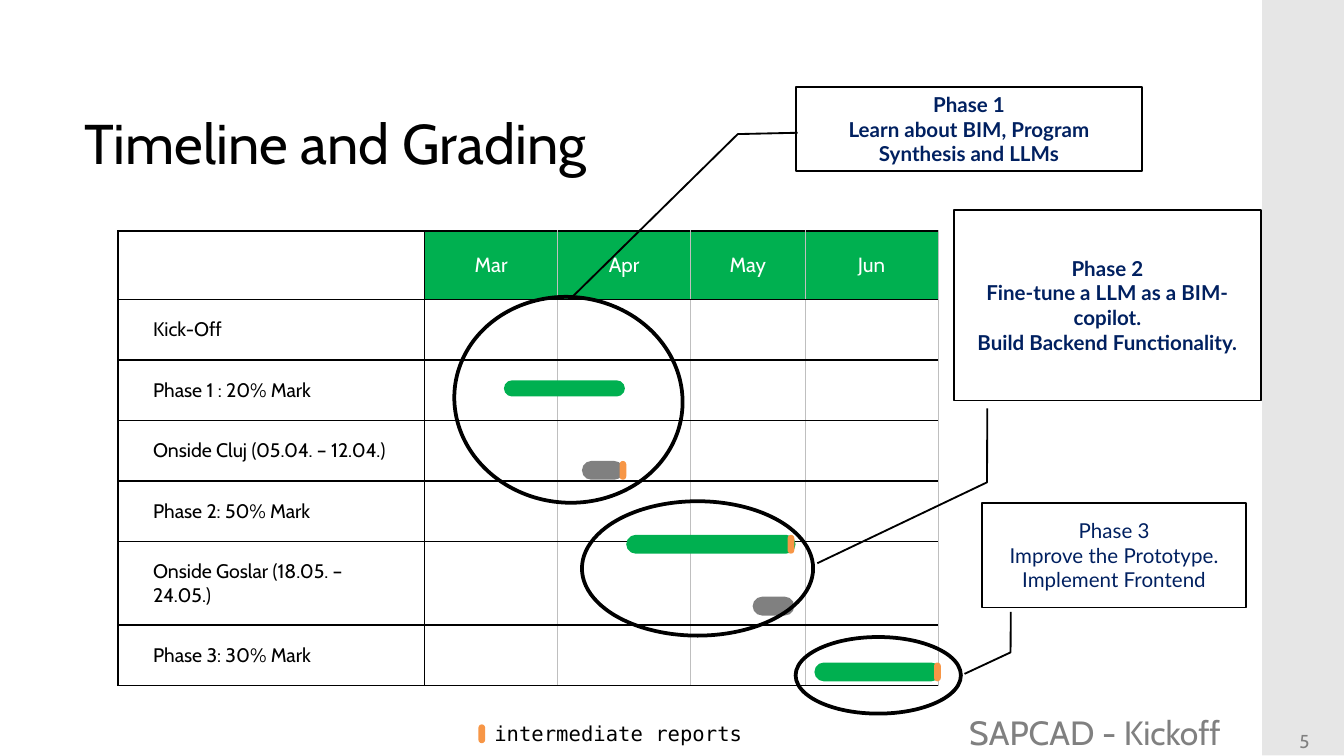
from lxml.etree import SubElement
from pptx import Presentation
from pptx.dml.color import RGBColor
from pptx.enum.shapes import MSO_SHAPE as Shape
from pptx.enum.text import MSO_ANCHOR as Anchor, PP_ALIGN as Align
from pptx.oxml.ns import qn
from pptx.util import Inches, Pt

BLACK = RGBColor(0x00, 0x00, 0x00)
WHITE = RGBColor(0xFF, 0xFF, 0xFF)
GREEN = RGBColor(0x00, 0xB0, 0x50)
GRAY = RGBColor(0x80, 0x80, 0x80)
ORANGE = RGBColor(0xF7, 0x96, 0x46)
NAVY = RGBColor(0x00, 0x20, 0x60)
SIDEBAR = RGBColor(0xE6, 0xE6, 0xE6)
GRID = RGBColor(0xBF, 0xBF, 0xBF)

MONTHS = ["Mar", "Apr", "May", "Jun"]
TASKS = ["Kick-Off", "Phase 1 : 20% Mark", "Onside Cluj (05.04. – 12.04.)",
         "Phase 2: 50% Mark", "Onside Goslar (18.05. – 24.05.)", "Phase 3: 30% Mark"]
COLUMN_WIDTHS = [2.28, 0.99, 0.99, 0.85, 0.99]
ROW_HEIGHTS = [0.51, 0.45, 0.45, 0.45, 0.45, 0.62, 0.45]
BARS = [
    (3.75, 2.83, 0.9, 0.12, GREEN),
    (4.33, 3.43, 0.31, 0.14, GRAY),
    (4.66, 3.98, 1.26, 0.14, GREEN),
    (5.6, 4.44, 0.31, 0.14, GRAY),
    (6.06, 4.93, 0.94, 0.14, GREEN),
]
REPORTS = [(5.86, 3.98), (6.95, 4.93), (4.61, 3.43), (3.56, 5.39)]
RINGS = [(4.33, 3.73, 1.72, 1, 0), (3.38, 2.21, 1.7, 1.53, 5.9), (5.92, 4.74, 1.23, 0.57, 0)]
CALLOUTS = [
    ((5.92, 0.65, 2.58, 0.62), (0.545, 0.006, 0.561, -0.167, 2.526, -0.647), True,
     ["Phase 1\vLearn about BIM, Program Synthesis and LLMs"]),
    ((7.1, 1.56, 2.28, 1.42), (1.042, 0.108, 1.429, 0.107, 1.853, -0.447), True,
     ["Phase 2\vFine-tune a LLM as a BIM-copilot.", "Build Backend Functionality."]),
    ((7.31, 3.74, 1.96, 0.78), (1.042, 0.108, 1.429, 0.107, 1.634, -0.068), False,
     ["Phase 3\vImprove the Prototype.", "Implement Frontend"]),
]


def write(frame, *lines, size=11, font="Cabin", color=BLACK, bold=False, align=Align.LEFT):
    """Fill a text frame with one formatted paragraph per line."""
    frame.word_wrap = True
    for index, line in enumerate(lines):
        paragraph = frame.paragraphs[0] if index == 0 else frame.add_paragraph()
        paragraph.alignment = align
        paragraph.text = line
        for run in paragraph.runs:
            run.font.size = Pt(size)
            run.font.name = font
            run.font.bold = bold
            run.font.color.rgb = color


def set_borders(cell, left, right):
    """Draw the four cell borders: coloured sides, black top and bottom."""
    properties = cell._tc.get_or_add_tcPr()
    for side, color in (("L", left), ("R", right), ("T", BLACK), ("B", BLACK)):
        width = Pt(0.5) if color == GRID else Pt(1)
        line = SubElement(properties, qn(f"a:ln{side}"), w=str(width))
        fill = SubElement(line, qn("a:solidFill"))
        SubElement(fill, qn("a:srgbClr"), val=str(color))


class TimelineSlide:
    """Holds the slide and draws its kinds of element in one style."""

    def __init__(self, slide):
        self.shapes = slide.shapes

    def shape(self, kind, box, fill=None, line_width=0):
        shape = self.shapes.add_shape(kind, *map(Inches, box))
        shape.shadow.inherit = False
        if fill is None:
            shape.fill.background()
        else:
            shape.fill.solid()
            shape.fill.fore_color.rgb = fill
        if line_width:
            shape.line.color.rgb = BLACK
            shape.line.width = Pt(line_width)
        else:
            shape.line.fill.background()
        return shape

    def bar(self, box, color):
        self.shape(Shape.ROUNDED_RECTANGLE, box, color).adjustments[0] = 0.5

    def ring(self, box, rotation):
        self.shape(Shape.OVAL, box, line_width=2).rotation = rotation

    def callout(self, box, leader, bold, lines):
        shape = self.shape(Shape.LINE_CALLOUT_2, box, WHITE, 1)
        for index, value in enumerate(leader):
            shape.adjustments[index] = value
        shape.text_frame.vertical_anchor = Anchor.MIDDLE
        write(shape.text_frame, *lines, font="Lato", color=NAVY, bold=bold, align=Align.CENTER)

    def text(self, box, content, **style):
        frame = self.shapes.add_textbox(*map(Inches, box)).text_frame
        frame.vertical_anchor = Anchor.MIDDLE
        write(frame, content, **style)

    def cell(self, cell, content, fill=None, **style):
        cell.vertical_anchor = Anchor.MIDDLE
        cell.margin_left = cell.margin_right = Inches(0.26)
        cell.margin_top = cell.margin_bottom = Inches(0.13)
        if fill is not None:
            cell.fill.solid()
            cell.fill.fore_color.rgb = fill
        write(cell.text_frame, content, **style)

    def table(self, left, top):
        size = (sum(COLUMN_WIDTHS), sum(ROW_HEIGHTS))
        table = self.shapes.add_table(len(ROW_HEIGHTS), len(COLUMN_WIDTHS),
                                      *map(Inches, (left, top, *size))).table
        for column, width in zip(table.columns, COLUMN_WIDTHS):
            column.width = Inches(width)
        for row, height in zip(table.rows, ROW_HEIGHTS):
            row.height = Inches(height)
        for row_index, row in enumerate(table.rows):
            for column_index, cell in enumerate(row.cells):
                set_borders(cell, BLACK if column_index < 2 else GRID,
                            BLACK if column_index == 0 else GRID)
                cell.fill.background()
                if row_index == 0 and column_index > 0:
                    self.cell(cell, MONTHS[column_index - 1], GREEN, color=WHITE,
                              align=Align.CENTER)
                elif row_index > 0 and column_index == 0:
                    self.cell(cell, TASKS[row_index - 1], size=10.5)


def main():
    """Build the timeline slide and save it."""
    presentation = Presentation()
    presentation.slide_width = Inches(10)
    presentation.slide_height = presentation.slide_width * 9 // 16
    timeline = TimelineSlide(presentation.slides.add_slide(presentation.slide_layouts[6]))

    timeline.shape(Shape.RECTANGLE, (9.39, 0, 0.61, 5.62), SIDEBAR)
    timeline.text((4.85, 5.25, 4.33, 0.4), "SAPCAD - Kickoff", size=18, color=GRAY,
                  align=Align.RIGHT)
    timeline.text((9.45, 5.38, 0.51, 0.27), "5", size=10, color=GRAY, align=Align.CENTER)
    timeline.text((0.53, 0.77, 8.64, 0.57), "Timeline and Grading", size=30)
    timeline.table(0.88, 1.72)
    for *box, color in BARS:
        timeline.bar(box, color)
    for callout in CALLOUTS:
        timeline.callout(*callout)
    for *box, rotation in RINGS:
        timeline.ring(box, rotation)
    for left, top in REPORTS:
        timeline.bar((left, top, 0.05, 0.14), ORANGE)
    timeline.text((3.58, 5.31, 2.17, 0.29), "intermediate reports", font="DejaVu Sans Mono")
    presentation.save("out.pptx")


if __name__ == "__main__":
    main()
